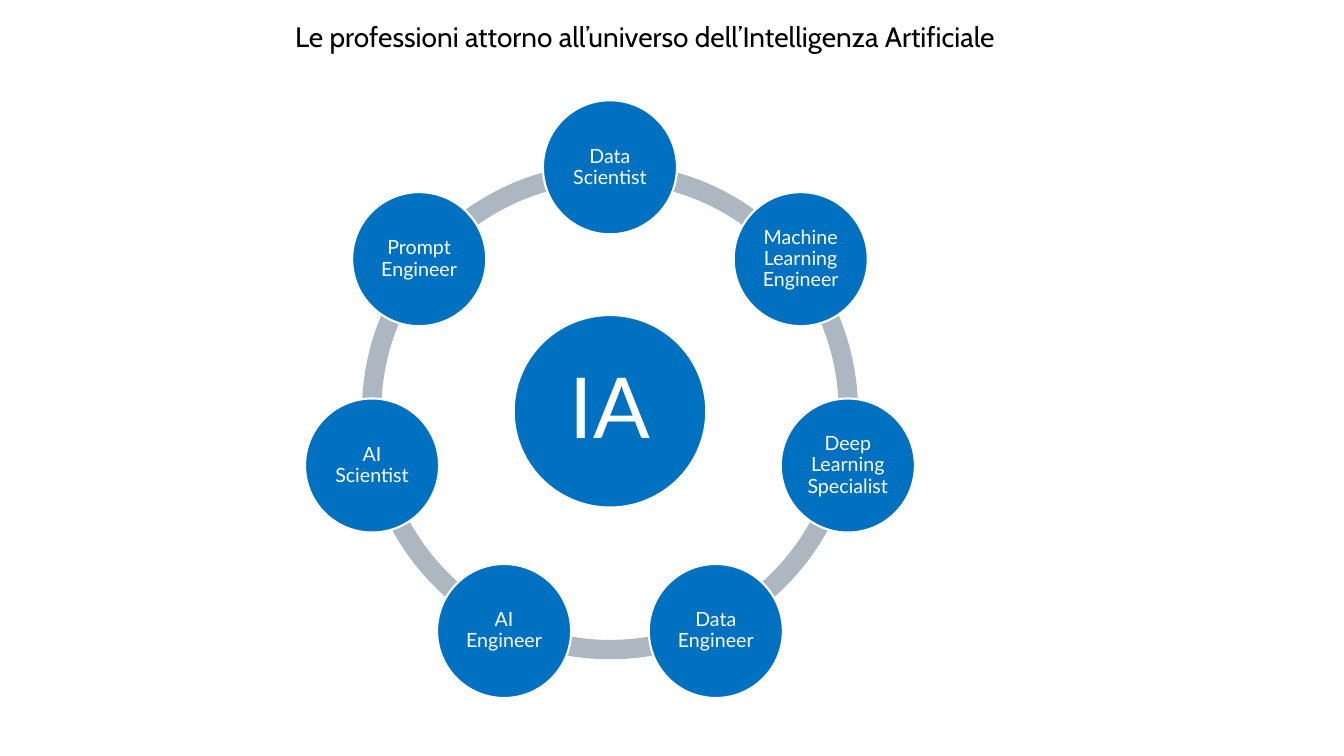
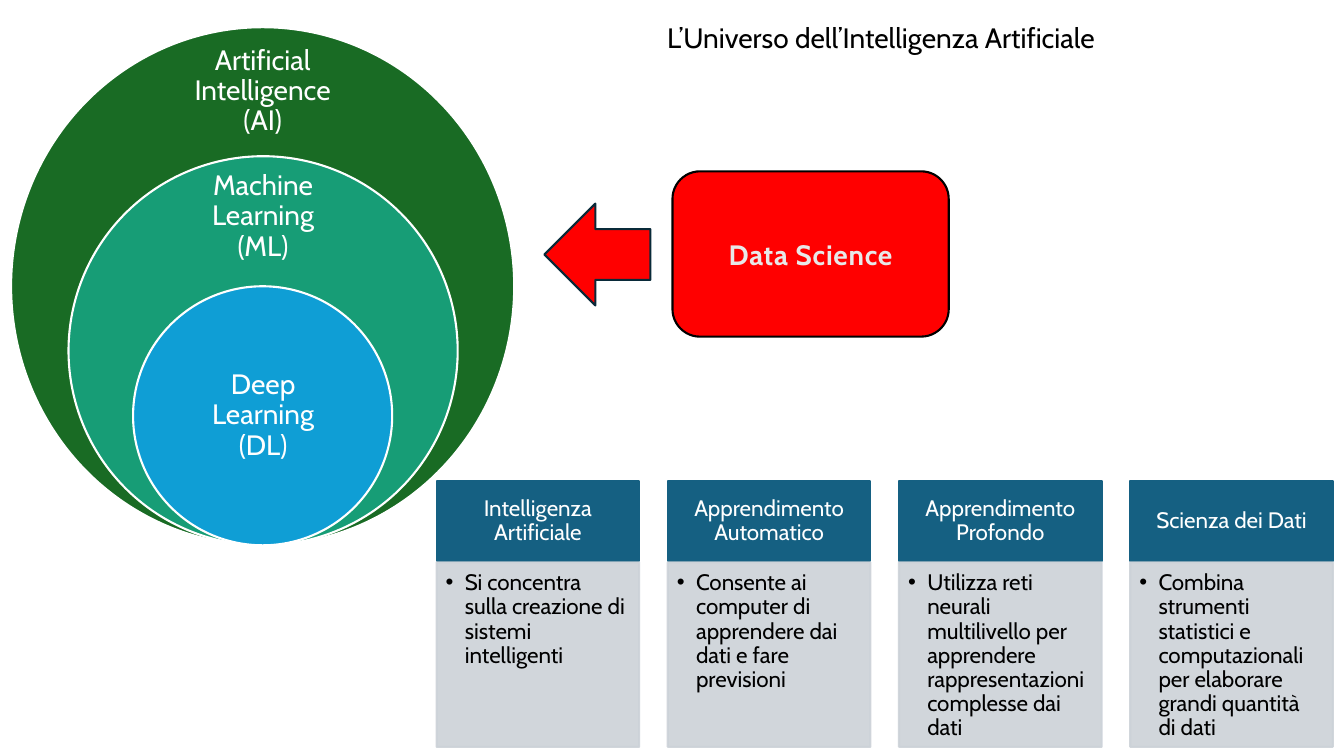
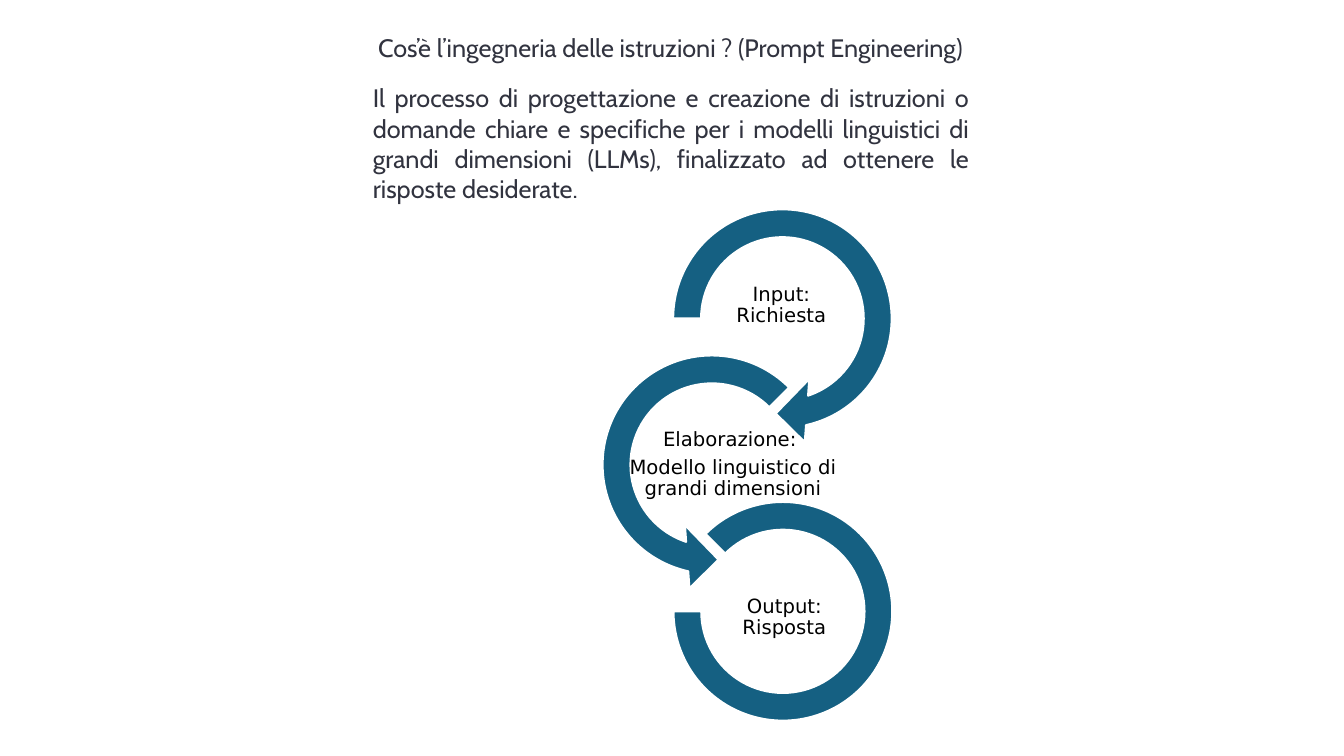
from dataclasses import dataclass
from math import cos, pi, sin

from lxml import etree
from pptx import Presentation
from pptx.dml.color import RGBColor
from pptx.enum import shapes as sh, text as tx
from pptx.oxml import ns
from pptx.util import Inches, Pt

GEO = sh.MSO_SHAPE
ALIGN = tx.PP_ALIGN
ANCHOR = tx.MSO_ANCHOR


@dataclass(frozen=True)
class Theme:
    # Colours
    white: str = "FFFFFF"
    black: str = "000000"
    ink: str = "31333F"
    blue: str = "0070C0"
    ring: str = "ACB7C1"
    petrol: str = "156082"
    panel: str = "CCD2D8"
    red: str = "FF0000"
    arrow_edge: str = "092A39"
    pale: str = "E8E8E8"
    green: str = "196B24"
    teal: str = "179D76"
    sky: str = "0F9ED5"
    # Fonts
    main: str = "Cabin"
    round: str = "Lato"
    plain: str = "DejaVu Sans"
    # Type sizes and line width, in points
    hub: int = 60
    title: int = 20
    body: int = 18
    column: int = 16
    label: int = 14
    edge: float = 1.5


T = Theme()


# Text and shape helpers
def write(shape, words, *, size, font=T.main, color=T.white, bold=False, tracking=0,
          align=ALIGN.CENTER, anchor=ANCHOR.MIDDLE, insets=(0.1, 0.05, 0.1, 0.05),
          spacing=0.9, gap=0, bullet=0):
    """Fill a shape with text; each line of words is one paragraph."""
    frame = shape.text_frame
    frame.word_wrap = True
    frame.auto_size = tx.MSO_AUTO_SIZE.NONE
    frame.vertical_anchor = anchor
    (frame.margin_left, frame.margin_top,
     frame.margin_right, frame.margin_bottom) = map(Inches, insets)
    for number, line in enumerate(words.split("\n")):
        paragraph = frame.add_paragraph() if number else frame.paragraphs[0]
        paragraph.alignment = align
        paragraph.line_spacing = spacing
        if number:
            paragraph.space_before = Pt(gap)
        if bullet:
            add_bullet(paragraph, bullet)
        run = paragraph.add_run()
        run.text = line
        run.font.name = font
        run.font.size = Pt(size)
        run.font.bold = bold
        run.font.color.rgb = RGBColor.from_string(color)
        if tracking:
            run.font._element.set("spc", str(int(tracking * 100)))


def add_bullet(paragraph, indent):
    props = paragraph._p.get_or_add_pPr()
    props.set("marL", str(Inches(indent)))
    props.set("indent", str(-Inches(indent)))
    etree.SubElement(props, ns.qn("a:buFont"), typeface="Arial")
    etree.SubElement(props, ns.qn("a:buChar"), char="•")


def add_block(slide, kind, box, fill, line=T.white, adjust=(), opacity=100):
    block = slide.shapes.add_shape(kind, *map(Inches, box))
    block.shadow.inherit = False
    block.fill.solid()
    block.fill.fore_color.rgb = RGBColor.from_string(fill)
    if line:
        block.line.color.rgb = RGBColor.from_string(line)
        block.line.width = Pt(T.edge)
    else:
        block.line.fill.background()
    for number, value in enumerate(adjust):
        block.adjustments[number] = value
    if opacity < 100:
        for tint in block._element.spPr.iter(ns.qn("a:srgbClr")):
            etree.SubElement(tint, ns.qn("a:alpha"), val=str(opacity * 1000))
    return block


def add_label(slide, box, words, **style):
    label = slide.shapes.add_textbox(*map(Inches, box))
    write(label, words, **style)


def add_titled_slide(deck, words, box, size=T.title, color=T.black):
    slide = deck.slides.add_slide(deck.slide_layouts[5])
    title = slide.shapes.title
    title.left, title.top, title.width, title.height = map(Inches, box)
    write(title, words, size=size, color=color, anchor=ANCHOR.TOP, spacing=1.0)
    return slide


def add_disc(slide, center, diameter, words, size, inset):
    x, y = center
    disc = add_block(slide, GEO.OVAL,
                     (x - diameter / 2, y - diameter / 2, diameter, diameter), T.blue)
    write(disc, words, size=size, font=T.round, insets=(inset,) * 4)


# Slide 1: wheel of professions
def build_professions(deck):
    slide = add_titled_slide(
        deck, "Le professioni attorno all’universo dell’Intelligenza Artificiale ",
        (2.48, 0.14, 7.9, 0.44))
    jobs = ["Data Scientist", "Machine Learning Engineer", "Deep Learning Specialist",
            "Data Engineer", "AI Engineer", "AI Scientist", "Prompt Engineer"]
    x, y, orbit, ring = 6.05, 4.08, 2.42, 4.92
    # Arc angles in adjustment units: a full turn is 216, the top is 162
    turn, top = 216, 162
    step = turn / len(jobs)
    for number in range(len(jobs)):
        start = (top + number * step) % turn
        add_block(slide, GEO.BLOCK_ARC, (x - ring / 2, y - ring / 2, ring, ring), T.ring,
                  line=None, adjust=(start, (start + step) % turn, 0.039))
    add_disc(slide, (x, y), 1.91, "IA", T.hub, 0.08)
    for number, job in enumerate(jobs):
        angle = 2 * pi * number / len(jobs)
        center = (x + orbit * sin(angle), y - orbit * cos(angle))
        add_disc(slide, center, 1.33, job, T.label, 0.02)


# Slide 2: nested fields and their definitions
def build_universe(deck):
    slide = add_titled_slide(deck, "L’Universo dell’Intelligenza Artificiale ",
                             (5.08, 0.15, 7.38, 0.44))
    fields = [
        ("Artificial Intelligence (AI)", T.green, (0.11, 0.27, 4.99, 5.14), (1.73, 0.52, 1.75, 0.77)),
        ("Machine Learning (ML)", T.teal, (0.68, 1.55, 3.86, 3.86), (1.71, 1.79, 1.8, 0.72)),
        ("Deep Learning (DL)", T.sky, (1.32, 2.84, 2.57, 2.57), (1.7, 3.48, 1.82, 1.29)),
    ]
    for name, color, circle, caption in fields:
        add_block(slide, GEO.OVAL, circle, color)
        add_label(slide, caption, name, size=T.title, insets=(0.16,) * 4)

    # Data science feeds the circles
    science = add_block(slide, GEO.ROUNDED_RECTANGLE, (6.67, 1.7, 2.74, 1.64), T.red, T.black)
    write(science, "Data Science", size=T.title, color=T.pale, bold=True, tracking=0.5,
          spacing=1.0)
    add_block(slide, GEO.LEFT_ARROW, (5.4, 2.02, 1.05, 1.01), T.red, T.arrow_edge)

    # Definition columns
    definitions = [
        ("Intelligenza Artificiale", "Si concentra sulla creazione di sistemi intelligenti"),
        ("Apprendimento Automatico",
         "Consente ai computer di apprendere dai dati e fare previsioni"),
        ("Apprendimento Profondo",
         "Utilizza reti neurali multilivello per apprendere rappresentazioni complesse dai dati"),
        ("Scienza dei Dati",
         "Combina strumenti statistici e computazionali per elaborare grandi quantità di dati"),
    ]
    first, last, width = 4.33, 11.21, 2.01
    pitch = (last - first) / (len(definitions) - 1)
    for number, (term, meaning) in enumerate(definitions):
        left = first + number * pitch
        header = add_block(slide, GEO.RECTANGLE, (left, 4.77, width, 0.8), T.petrol, T.petrol)
        write(header, term, size=T.column, insets=(0.12, 0.07, 0.12, 0.07))
        panel = add_block(slide, GEO.RECTANGLE, (left, 5.58, width, 1.83), T.panel, T.panel,
                          opacity=90)
        write(panel, meaning, size=T.column, color=T.black, align=ALIGN.LEFT,
              anchor=ANCHOR.TOP, insets=(0.09, 0.09, 0.12, 0.14), bullet=0.19)


# Slide 3: prompt engineering cycle
def build_prompting(deck):
    slide = add_titled_slide(
        deck, "Cos’è l’ingegneria delle istruzioni ? (Prompt Engineering)",
        (0.13, 0.27, 13.04, 0.4), size=T.body, color=T.ink)
    add_label(slide, (3.6, 0.77, 6.11, 1.31),
              "Il processo di progettazione e creazione di istruzioni o domande chiare e "
              "specifiche per i modelli linguistici di grandi dimensioni (LLMs), finalizzato "
              "ad ottenere le risposte desiderate.",
              size=T.body, color=T.ink, align=ALIGN.JUSTIFY, anchor=ANCHOR.TOP, spacing=1.0)
    stages = [
        (GEO.CIRCULAR_ARROW, (6.5, 1.9, 2.52, 2.52), (0.11, 11.423, 45, 108, 0.125),
         "Input: Richiesta", (7.05, 2.68, 1.4, 0.7)),
        (GEO.LEFT_CIRCULAR_ARROW, (5.8, 3.35, 2.52, 2.52), (0.11, 11.423, 63, 189, 0.125),
         "Elaborazione: \nModello linguistico di grandi dimensioni", (6.13, 4.26, 2.28, 0.7)),
        (GEO.BLOCK_ARC, (6.68, 4.98, 2.17, 2.17), (135, 108, 0.127),
         "Output: Risposta", (7.08, 5.78, 1.4, 0.7)),
    ]
    for kind, loop, adjust, words, caption in stages:
        add_block(slide, kind, loop, T.petrol, adjust=adjust)
        add_label(slide, caption, words, size=T.label, font=T.plain, color=T.black,
                  insets=(0.01,) * 4, gap=5)


def main():
    deck = Presentation()
    deck.slide_width, deck.slide_height = Inches(13.33), Inches(7.5)
    build_professions(deck)
    build_universe(deck)
    build_prompting(deck)
    deck.save("out.pptx")


if __name__ == "__main__":
    main()
